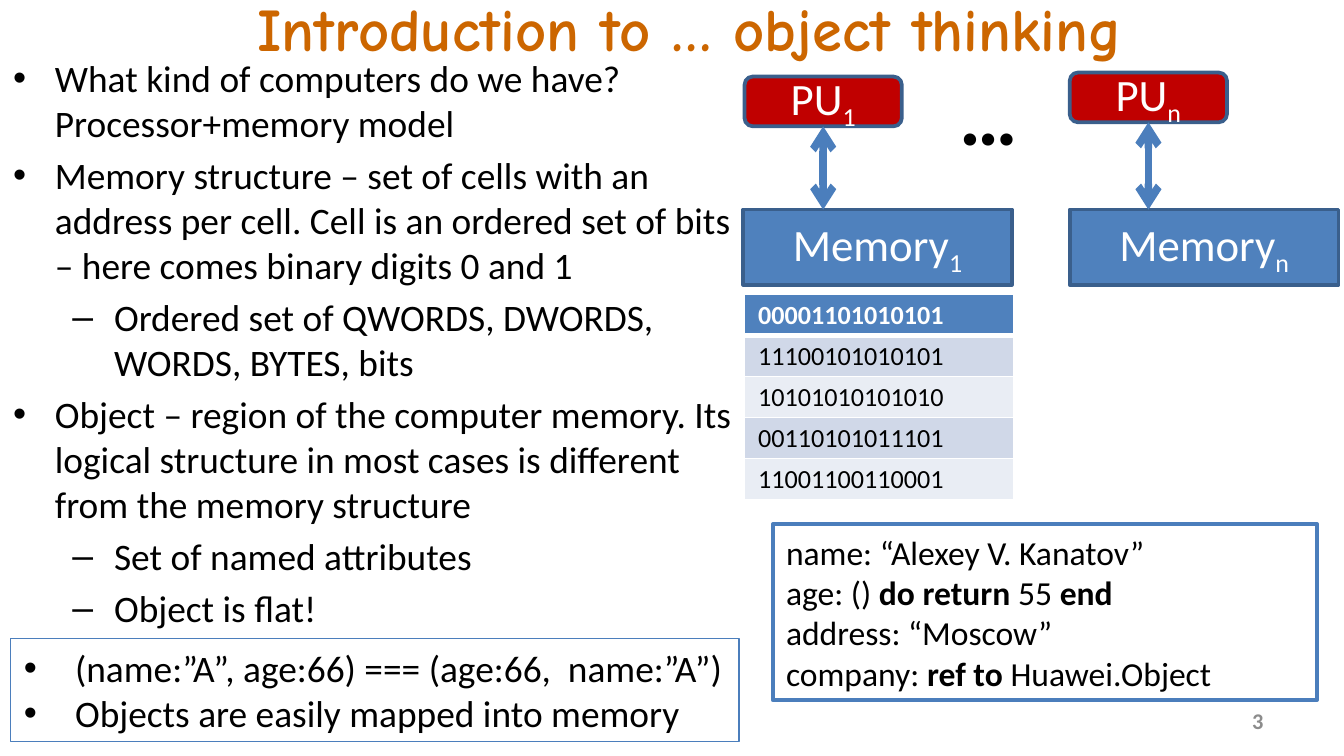
from lxml import etree
from pptx import Presentation
from pptx import util as u
from pptx.dml.color import RGBColor
from pptx.enum import shapes, text
from pptx.oxml.ns import qn

COLORS = {
    "title": "CC6600", "ink": "000000", "paper": "FFFFFF", "number": "8C8C8C",
    "processor": "C00000", "memory": "4F81BD", "edge": "3A5F8C", "accent": "4B7EBC",
    "odd": "D0D8E8", "even": "E9EDF4",
}
TITLE = "Introduction to … object thinking"
TOPICS = [
    (0, "What kind of computers do we have? Processor+memory model"),
    (0, "Memory structure – set of cells with an address per cell. Cell is an ordered "
        "set of bits – here comes binary digits 0 and 1"),
    (1, "Ordered set of QWORDS, DWORDS, WORDS, BYTES, bits"),
    (0, "Object – region of the computer memory. Its logical structure in most cases "
        "is different from the memory structure"),
    (1, "Set of named attributes"),
    (1, "Object is flat!"),
]
LEVELS = [("•", 0.31, 0.31), ("–", 0.75, 0.31)]
UNITS = [("1", 5.54, 0.57, 5.53), ("n", 7.96, 0.54, 7.96)]
CELLS = ["00001101010101", "11100101010101", "10101010101010",
         "00110101011101", "11001100110001"]
ATTRIBUTES = [
    [("name: “Alexey V. Kanatov”", False)],
    [("age: () ", False), ("do return", True), (" 55 ", False), ("end", True)],
    [("address: “Moscow”", False)],
    [("company: ", False), ("ref to ", True), ("Huawei.Object", False)],
]
FACTS = ["(name:”A”, age:66) === (age:66,  name:”A”)",
         "Objects are easily mapped into memory"]
MEMORY_TOP = 1.56
ROW_HEIGHT = 0.3


def inches(*values):
    return [u.Inches(value) for value in values]


def rgb(name):
    return RGBColor.from_string(COLORS[name])


def assign(target, **values):
    for key, value in values.items():
        setattr(target, key, value)


def write(paragraph, words, size, color="ink", bold=False, face="Calibri"):
    run = paragraph.add_run()
    run.text = words
    assign(run.font, size=u.Pt(size), bold=bold, name=face)
    run.font.color.rgb = rgb(color)
    return run


def paragraphs(frame, count):
    return [frame.paragraphs[0]] + [frame.add_paragraph() for _ in range(count - 1)]


def bullet(paragraph, mark, margin, hanging):
    properties = paragraph._p.get_or_add_pPr()
    properties.set("marL", str(u.Inches(margin)))
    properties.set("indent", str(-u.Inches(hanging)))
    etree.SubElement(properties, qn("a:buFont")).set("typeface", "Arial")
    etree.SubElement(properties, qn("a:buChar")).set("char", mark)


def text_box(slide, at, wrap=True, anchor=text.MSO_ANCHOR.TOP):
    frame = slide.shapes.add_textbox(*inches(*at)).text_frame
    assign(frame, word_wrap=wrap, vertical_anchor=anchor)
    return frame


def block(slide, kind, at, fill, edge, width):
    shape = slide.shapes.add_shape(kind, *inches(*at))
    shape.shadow.inherit = False
    if fill:
        shape.fill.solid()
        shape.fill.fore_color.rgb = rgb(fill)
    else:
        shape.fill.background()
    shape.line.color.rgb = rgb(edge)
    shape.line.width = u.Pt(width)
    assign(shape.text_frame, word_wrap=True, vertical_anchor=text.MSO_ANCHOR.MIDDLE)
    return shape


def label(shape, words, index):
    paragraph = shape.text_frame.paragraphs[0]
    paragraph.alignment = text.PP_ALIGN.CENTER
    write(paragraph, words, 24, "paper")
    subscript = write(paragraph, index, 24, "paper")
    subscript.font._element.set("baseline", "-25000")


def add_unit(slide, index, left, top, memory_left):
    processor = block(slide, shapes.MSO_SHAPE.ROUNDED_RECTANGLE,
                      (left, top, 1.17, 0.37), "processor", "edge", 2)
    memory = block(slide, shapes.MSO_SHAPE.RECTANGLE,
                   (memory_left, MEMORY_TOP, 2, 0.56), "memory", "edge", 2)
    label(processor, "PU", index)
    label(memory, "Memory", index)
    middle = left + 1.17 / 2
    link = slide.shapes.add_connector(
        shapes.MSO_CONNECTOR.STRAIGHT, *inches(middle, top + 0.37, middle, MEMORY_TOP))
    link.begin_connect(processor, 2)
    link.line.color.rgb = rgb("accent")
    link.line.width = u.Pt(4)
    for end in ("a:headEnd", "a:tailEnd"):
        etree.SubElement(link.line._ln, qn(end)).set("type", "arrow")
    etree.SubElement(link._element.spPr, qn("a:effectLst"))


def border(cell, side, width):
    line = etree.SubElement(cell._tc.get_or_add_tcPr(), qn("a:ln" + side))
    line.set("w", str(u.Pt(width)))
    solid = etree.SubElement(line, qn("a:solidFill"))
    etree.SubElement(solid, qn("a:srgbClr")).set("val", COLORS["paper"])


def add_cells(slide):
    table = slide.shapes.add_table(
        len(CELLS), 1, *inches(5.54, 2.19, 2, ROW_HEIGHT * len(CELLS))).table
    for row, bits in enumerate(CELLS):
        table.rows[row].height = u.Inches(ROW_HEIGHT)
        cell = table.cell(row, 0)
        assign(cell, margin_left=u.Inches(0.1), margin_right=u.Inches(0.1),
               margin_top=u.Pt(2.6), margin_bottom=u.Pt(2.6))
        widths = {"L": 1, "R": 1, "T": 3 if row == 1 else 1, "B": 3 if row == 0 else 1}
        for side, width in widths.items():
            border(cell, side, width)
        cell.fill.solid()
        cell.fill.fore_color.rgb = rgb("memory" if row == 0 else ("even", "odd")[row % 2])
        write(cell.text_frame.paragraphs[0], bits, 14,
              "paper" if row == 0 else "ink", row == 0)


def main():
    deck = Presentation()
    slide_width = u.Inches(10)
    assign(deck, slide_width=slide_width, slide_height=slide_width * 9 // 16)
    slide = deck.slides.add_slide(deck.slide_layouts[5])

    title = slide.shapes.title
    left, top, width, height = inches(0.67, -0.06, 8.92, 0.52)
    assign(title, left=left, top=top, width=width, height=height)
    assign(title.text_frame, vertical_anchor=text.MSO_ANCHOR.MIDDLE, word_wrap=True,
           auto_size=text.MSO_AUTO_SIZE.NONE)
    heading = title.text_frame.paragraphs[0]
    heading.alignment = text.PP_ALIGN.CENTER
    write(heading, TITLE, 32.4, "title", True, "Comic Neue")

    topics = text_box(slide, (0, 0.36, 5.58, 4.44))
    for row, (paragraph, (level, words)) in enumerate(
            zip(paragraphs(topics, len(TOPICS)), TOPICS)):
        paragraph.level = level
        paragraph.space_before = u.Pt(4 if row else 0)
        bullet(paragraph, *LEVELS[level])
        write(paragraph, words, 20)

    number = text_box(slide, (8.92, 5.21, 0.58, 0.3), anchor=text.MSO_ANCHOR.MIDDLE)
    number.paragraphs[0].alignment = text.PP_ALIGN.RIGHT
    write(number.paragraphs[0], "3", 12, "number", True)

    for unit in UNITS:
        add_unit(slide, *unit)
    dots = text_box(slide, (7.04, 0.42, 0.5, 0.84), wrap=False)
    dots.paragraphs[0].alignment = text.PP_ALIGN.CENTER
    write(dots.paragraphs[0], "…", 44, bold=True)
    add_cells(slide)

    record = block(slide, shapes.MSO_SHAPE.RECTANGLE,
                   (5.75, 3.9, 4.05, 1.31), None, "accent", 2).text_frame
    for paragraph, runs in zip(paragraphs(record, len(ATTRIBUTES)), ATTRIBUTES):
        paragraph.alignment = text.PP_ALIGN.LEFT
        for words, bold in runs:
            write(paragraph, words, 18, bold=bold)

    facts = block(slide, shapes.MSO_SHAPE.RECTANGLE,
                  (0.08, 4.75, 5.42, 0.77), None, "accent", 0.75).text_frame
    for paragraph, words in zip(paragraphs(facts, len(FACTS)), FACTS):
        paragraph.alignment = text.PP_ALIGN.LEFT
        bullet(paragraph, "•", 0.38, 0.38)
        write(paragraph, words, 20)

    deck.save("out.pptx")


if __name__ == "__main__":
    main()
